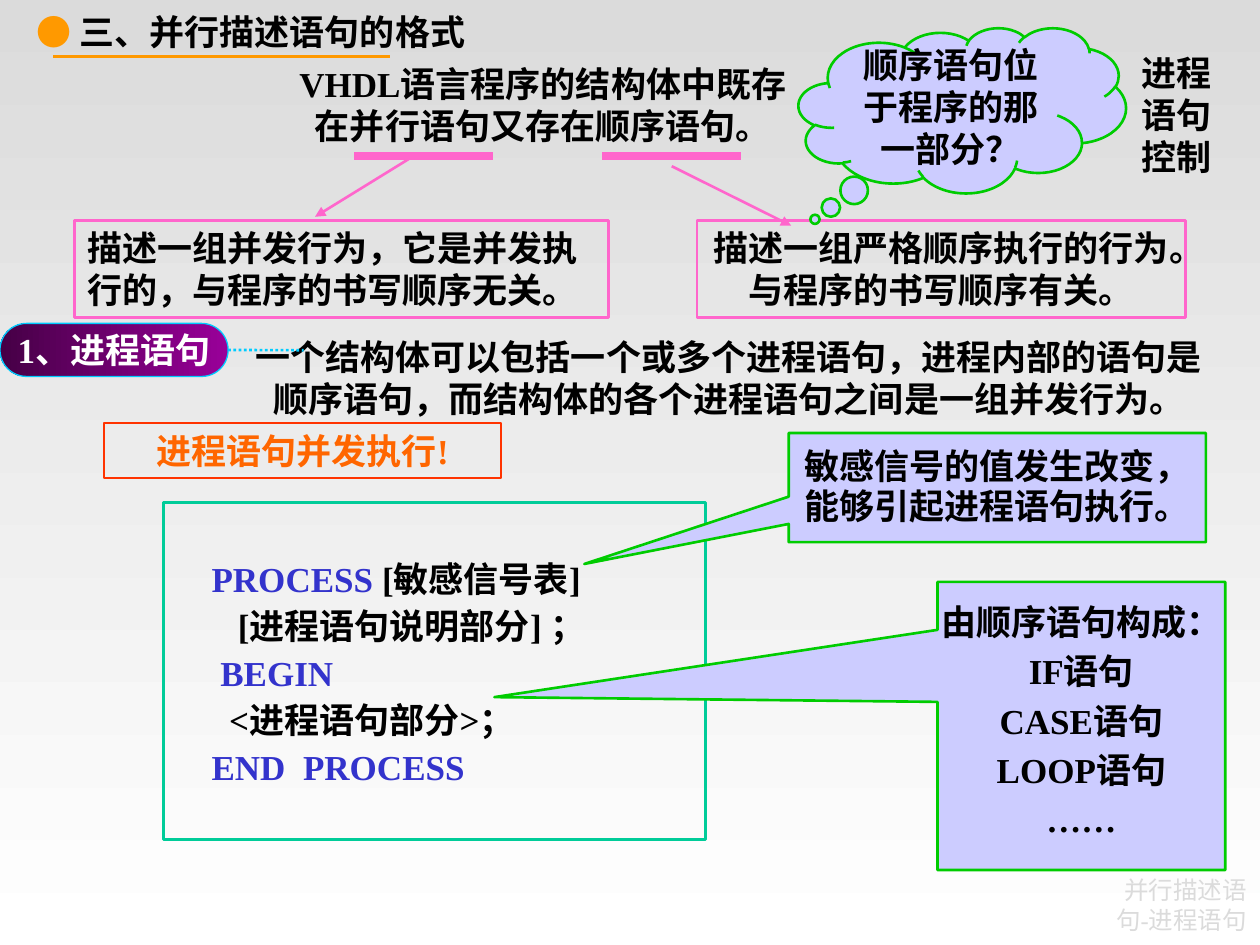
import pptx
import pptx.dml.color
import pptx.enum.dml
import pptx.enum.shapes
import pptx.enum.text
import pptx.oxml
import pptx.oxml.ns
import pptx.util

Cm = pptx.util.Cm
Pt = pptx.util.Pt
SHAPE = pptx.enum.shapes.MSO_SHAPE
ALIGN = pptx.enum.text.PP_ALIGN
ANCHOR = pptx.enum.text.MSO_ANCHOR
COLORS = {
    "black": "000000", "white": "FFFFFF", "grey": "DBDBDB", "pink": "FF66CC",
    "amber": "FF9900", "orange": "FF6600", "red": "FF3300", "teal": "00CC99",
    "keyword": "3333CC", "lilac": "CCCCFF", "green": "00CC00", "cyan": "00CCFF",
    "purple": "990099", "plum": "460046",
}
CENTERED = {"alignment": ALIGN.CENTER}
PADDED = {"margin_left": Cm(0.26), "margin_right": Cm(0.26),
          "margin_top": Cm(0.13), "margin_bottom": Cm(0.13), "word_wrap": True}
TIGHT = {"margin_left": 0, "margin_right": 0, "margin_top": 0, "margin_bottom": 0,
         "vertical_anchor": ANCHOR.MIDDLE}


def rgb(name):
    return pptx.dml.color.RGBColor.from_string(COLORS[name])


def apply(target, values):
    for name, value in values.items():
        setattr(target, name, value)


def paint_gradient(fill, first, last, angle):
    fill.gradient()
    fill.gradient_angle = angle
    for stop, name in zip(fill.gradient_stops, (first, last)):
        stop.color.rgb = rgb(name)


def write(shape, lines, frame=None, paragraph=None, font=None):
    text = shape.text_frame
    apply(text, {**PADDED, **(frame or {})})
    for index, runs in enumerate(lines):
        line = text.paragraphs[0] if index == 0 else text.add_paragraph()
        apply(line, {"alignment": ALIGN.LEFT, **(paragraph or {})})
        if index:
            line.space_before = Pt(12.5)
        for words, color in runs:
            run = line.add_run()
            run.text = words
            apply(run.font, {"name": "Times New Roman", "size": Pt(20),
                             "bold": True, **(font or {})})
            run.font.color.rgb = rgb(color)


def add_text(slide, box, lines, **formats):
    label = slide.shapes.add_textbox(*map(Cm, box))
    write(label, lines, **formats)
    return label


def add_box(slide, kind, box, outline, lines, fill=None, adjust=(), width=1.5, **formats):
    panel = slide.shapes.add_shape(kind, *map(Cm, box))
    panel.shadow.inherit = False
    for index, value in enumerate(adjust):
        panel.adjustments[index] = value
    if fill:
        panel.fill.solid()
        panel.fill.fore_color.rgb = rgb(fill)
    else:
        panel.fill.background()
    panel.line.color.rgb = rgb(outline)
    panel.line.width = Pt(width)
    write(panel, lines, **{"frame": {"vertical_anchor": ANCHOR.TOP}, **formats})
    return panel


def add_line(slide, start, end, color, width, arrow=False):
    stroke = slide.shapes.add_connector(
        pptx.enum.shapes.MSO_CONNECTOR.STRAIGHT, *map(Cm, (*start, *end)))
    stroke.line.color.rgb = rgb(color)
    stroke.line.width = Pt(width)
    if arrow:
        head = pptx.oxml.parse_xml(
            '<a:tailEnd %s type="triangle"/>' % pptx.oxml.ns.nsdecls("a"))
        stroke.line._get_or_add_ln().append(head)
    stroke._element.spPr.append(
        pptx.oxml.parse_xml("<a:effectLst %s/>" % pptx.oxml.ns.nsdecls("a")))
    return stroke


def add_overview(slide):
    add_text(slide, (5.73, 1.14, 10.43, 1.96),
             [[("VHDL语言程序的结构体中既存在并行语句又存在顺序语句。", "black")]],
             paragraph=CENTERED)
    branches = [
        (7.14, (8.33, 3.15), (6.35, 4.37), (1.5, 10.77), ALIGN.LEFT,
         "描述一组并发行为，它是并发执行的，与程序的书写顺序无关。"),
        (12.14, (13.54, 3.35), (15.95, 4.55), (14.05, 9.85), ALIGN.CENTER,
         "描述一组严格顺序执行的行为。与程序的书写顺序有关。"),
    ]
    for underline, start, end, (left, width), alignment, words in branches:
        add_line(slide, (underline, 3.15), (underline + 2.79, 3.15), "pink", 4.5)
        add_line(slide, start, end, "pink", 1.5, arrow=True)
        add_box(slide, SHAPE.RECTANGLE, (left, 4.44, width, 1.96), "pink",
                [[(words, "black")]], paragraph={"alignment": alignment})


def add_heading(slide):
    heading = add_text(slide, (0.48, 0.08, 10.21, 1.12),
                       [[("● ", "amber"), ("三、并行描述语句的格式", "black")]])
    heading.text_frame.paragraphs[0].runs[0].font.bold = False
    add_line(slide, (1.07, 1.14), (7.87, 1.14), "amber", 2.25)


def add_process_code(slide):
    code = [
        [("    PROCESS ", "keyword"), ("[敏感信号表]", "black")],
        [("       [进程语句说明部分] ；", "black")],
        [("     BEGIN", "keyword")],
        [("      <进程语句部分>；", "black")],
        [("    END  PROCESS", "keyword")],
    ]
    add_box(slide, SHAPE.RECTANGLE, (3.3, 10.13, 10.92, 6.8), "teal", code,
            frame={"vertical_anchor": ANCHOR.TOP, "margin_top": Cm(1.41)},
            paragraph={"line_spacing": 0.6})


def add_process_section(slide):
    add_text(slide, (4.7, 6.63, 19.99, 1.96),
             [[("一个结构体可以包括一个或多个进程语句，进程内部的语句是"
                "顺序语句，而结构体的各个进程语句之间是一组并发行为。", "black")]],
             paragraph=CENTERED)
    badge = add_box(slide, SHAPE.ROUNDED_RECTANGLE, (0, 6.52, 4.6, 1.07), "cyan",
                    [[("1、进程语句", "white")]], adjust=(0.5,), width=0.75,
                    frame={**TIGHT, "word_wrap": False}, paragraph=CENTERED)
    paint_gradient(badge.fill, "purple", "plum", 180)
    leader = add_line(slide, (4.6, 7.06), (6.12, 7.06), "cyan", 1.5)
    leader.line.dash_style = pptx.enum.dml.MSO_LINE.ROUND_DOT
    leader.begin_connect(badge, 3)
    add_box(slide, SHAPE.RECTANGLE, (2.1, 8.53, 8, 1.11), "red",
            [[("进程语句并发执行!", "orange")]], paragraph=CENTERED)


def add_callouts(slide):
    callouts = [
        (SHAPE.CLOUD_CALLOUT, (16.1, 0.56, 6.6, 3.33), (-0.45, 0.66),
         {"vertical_anchor": ANCHOR.MIDDLE}, 1.0, ["顺序语句位于程序的那一部分？"]),
        (SHAPE.RECTANGULAR_CALLOUT, (18.9, 11.73, 5.8, 5.81), (-2.04, -0.1),
         TIGHT, 0.65, ["由顺序语句构成：", "IF语句", "CASE语句", "LOOP语句", "……"]),
        (SHAPE.RECTANGULAR_CALLOUT, (15.9, 8.73, 8.41, 2.2), (-0.99, 0.7),
         TIGHT, 0.95, ["敏感信号的值发生改变，能够引起进程语句执行。"]),
    ]
    for kind, box, pointer, frame, spacing, lines in callouts:
        add_box(slide, kind, box, "green", [[(words, "black")] for words in lines],
                fill="lilac", adjust=pointer, frame=frame,
                paragraph={**CENTERED, "line_spacing": spacing})


def main():
    deck = pptx.Presentation()
    deck.slide_width, deck.slide_height = Cm(25.4), Cm(19.05)
    slide = deck.slides.add_slide(deck.slide_layouts[6])
    paint_gradient(slide.background.fill, "grey", "white", 270)
    add_text(slide, (21.98, 17.92, 3.42, 0.64), [[("并行描述语句-进程语句", "grey")]],
             frame={"vertical_anchor": ANCHOR.MIDDLE},
             paragraph={"alignment": ALIGN.RIGHT},
             font={"size": Pt(14), "bold": False})
    add_overview(slide)
    add_heading(slide)
    add_process_code(slide)
    add_text(slide, (22.71, 0.91, 2.01, 2.79), [[("进程语句控制", "black")]],
             paragraph=CENTERED)
    add_process_section(slide)
    add_callouts(slide)
    deck.save("out.pptx")


if __name__ == "__main__":
    main()
